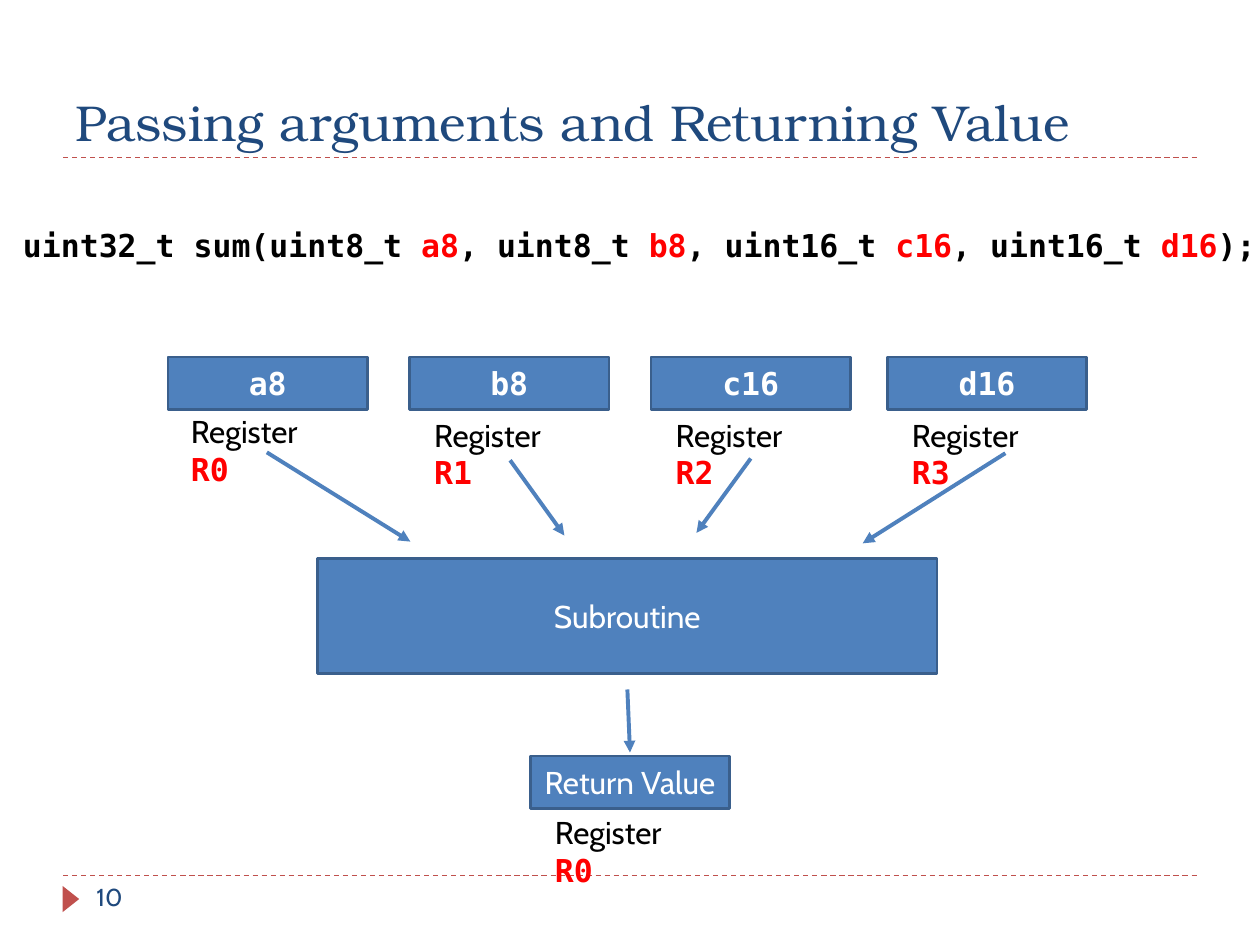
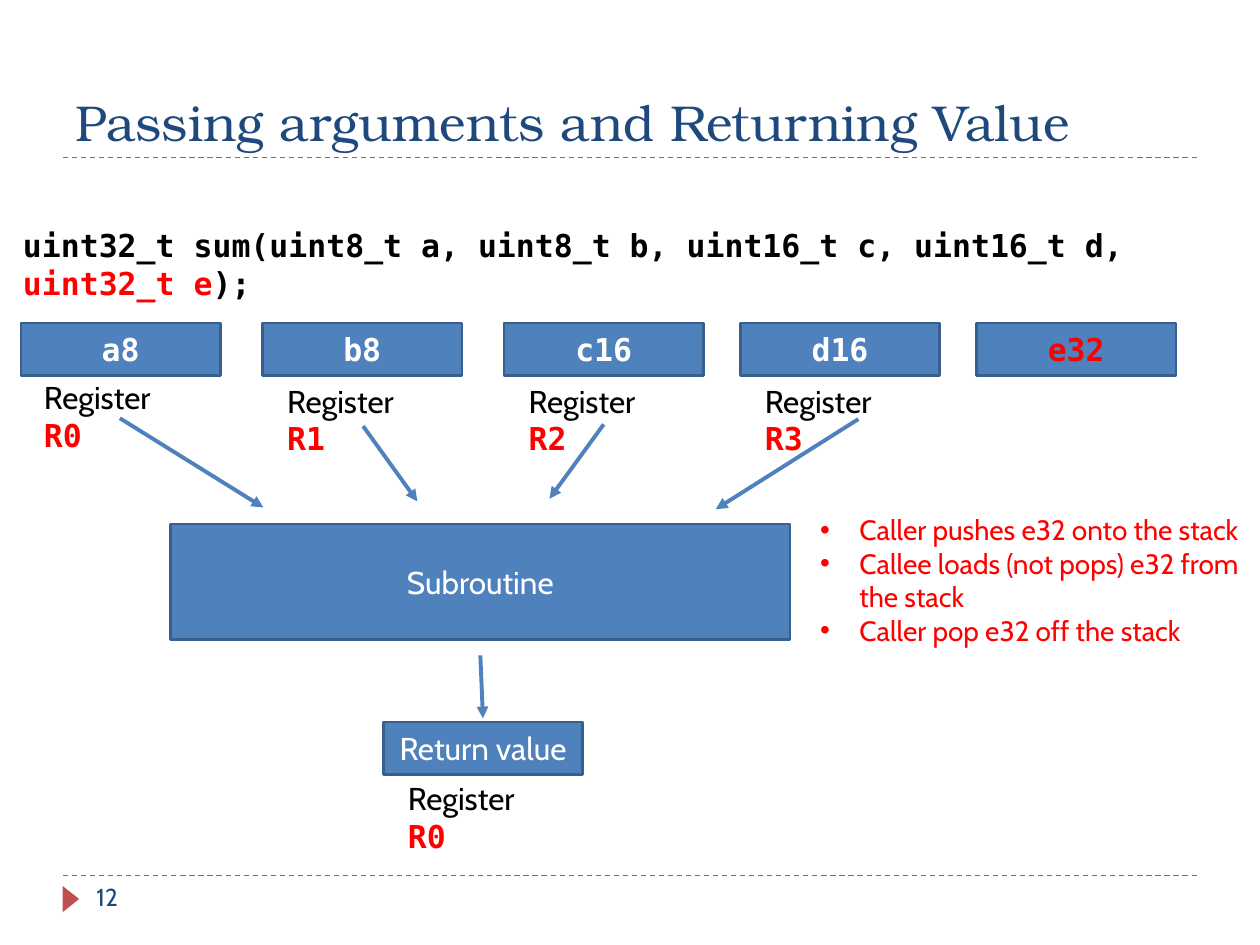
from dataclasses import dataclass

from lxml.etree import SubElement
from pptx import Presentation
from pptx.dml.color import RGBColor
from pptx.enum.dml import MSO_LINE
from pptx.enum.shapes import MSO_CONNECTOR, MSO_SHAPE
from pptx.enum.text import MSO_ANCHOR, MSO_AUTO_SIZE, PP_ALIGN
from pptx.oxml.ns import qn
from pptx.util import Pt


@dataclass(frozen=True)
class Theme:
    heading: RGBColor = RGBColor(0x1F, 0x49, 0x7D)
    rule: RGBColor = RGBColor(0xC0, 0x50, 0x4D)
    block: RGBColor = RGBColor(0x4F, 0x81, 0xBD)
    outline: RGBColor = RGBColor(0x3A, 0x5F, 0x8C)
    light: RGBColor = RGBColor(0xFF, 0xFF, 0xFF)
    dark: RGBColor = RGBColor(0, 0, 0)
    accent: RGBColor = RGBColor(0xFF, 0, 0)
    title_font: str = "TeX Gyre Bonum"
    body_font: str = "Cabin"
    code_font: str = "DejaVu Sans Mono"
    title_size: float = 28.8
    body_size: float = 18
    note_size: float = 16
    number_size: float = 14


THEME = Theme()
CODE = dict(font=THEME.code_font, bold=True)
RED = dict(color=THEME.accent)
RED_CODE = CODE | RED

ARGUMENTS = ["a8", "b8", "c16", "d16"]
ARGUMENT_LEFTS = [96, 234, 372, 507]
REGISTER_OFFSETS = [(6, 28), (7, 30), (7, 30), (7, 30)]
ARGUMENT_ARROWS = [
    (152.5, 258.5, 234.5, 309.5),
    (291.5, 263, 322.5, 306),
    (429, 262, 398, 304.5),
    (574.5, 259, 493, 310.5),
]
ARGUMENT_TOP = 204
BLOCK_SIZE = (114, 30)
SPILL_SHIFT = (-84, -19.5)


def write(frame, paragraphs, font=THEME.body_font, size=THEME.body_size,
          color=THEME.dark, bold=False, align=PP_ALIGN.LEFT,
          anchor=MSO_ANCHOR.TOP, bullet=None):
    frame.word_wrap = True
    frame.auto_size = MSO_AUTO_SIZE.NONE
    frame.vertical_anchor = anchor
    for index, runs in enumerate(paragraphs):
        paragraph = frame.add_paragraph() if index else frame.paragraphs[0]
        paragraph.alignment = align
        if bullet:
            properties = paragraph._p.get_or_add_pPr()
            properties.set("marL", str(Pt(22.5)))
            properties.set("indent", str(-Pt(22.5)))
            SubElement(properties, qn("a:buFont"), typeface="Arial")
            SubElement(properties, qn("a:buChar"), char=bullet)
        for text, changes in runs:
            style = dict(font=font, color=color, bold=bold) | changes
            run = paragraph.add_run()
            run.text = text
            run.font.name = style["font"]
            run.font.size = Pt(size)
            run.font.bold = style["bold"]
            run.font.color.rgb = style["color"]


class Deck:
    def __init__(self, theme):
        self.theme = theme
        self.presentation = Presentation()
        self.presentation.slide_width = Pt(720)
        self.presentation.slide_height = Pt(540)
        self.slide = None

    def start_slide(self, title, number):
        theme = self.theme
        layout = self.presentation.slide_layouts.get_by_name("Title Only")
        self.slide = self.presentation.slides.add_slide(layout)
        for height in (500.4, 90):
            self.line(36, height, 684, height, theme.rule, 0.75, dashed=True)
        self.shape(MSO_SHAPE.ISOSCELES_TRIANGLE, 33, 509, 15, 9.5,
                   theme.rule).rotation = 90
        heading = self.slide.shapes.title
        heading.left, heading.top = Pt(36), Pt(12)
        heading.width, heading.height = Pt(648), Pt(78)
        write(heading.text_frame, [[(title, {})]], font=theme.title_font,
              size=theme.title_size, color=theme.heading,
              anchor=MSO_ANCHOR.BOTTOM)
        self.text(48, 500.4, 156, 29, [[(number, {})]],
                  size=theme.number_size, color=theme.heading)

    def shape(self, preset, left, top, width, height, fill, outline=None):
        shape = self.slide.shapes.add_shape(
            preset, Pt(left), Pt(top), Pt(width), Pt(height))
        shape.shadow.inherit = False
        shape.fill.solid()
        shape.fill.fore_color.rgb = fill
        if outline is None:
            shape.line.fill.background()
        else:
            shape.line.color.rgb = outline
            shape.line.width = Pt(1.5)
        return shape

    def block(self, left, top, width, height, label, **style):
        block = self.shape(MSO_SHAPE.RECTANGLE, left, top, width, height,
                           self.theme.block, self.theme.outline)
        write(block.text_frame, [[(label, {})]],
              **(dict(color=self.theme.light, align=PP_ALIGN.CENTER,
                      anchor=MSO_ANCHOR.MIDDLE) | style))

    def text(self, left, top, width, height, paragraphs, **style):
        box = self.slide.shapes.add_textbox(
            Pt(left), Pt(top), Pt(width), Pt(height))
        write(box.text_frame, paragraphs, **style)

    def line(self, x1, y1, x2, y2, color, width, dashed=False, arrow=False):
        line = self.slide.shapes.add_connector(
            MSO_CONNECTOR.STRAIGHT, Pt(x1), Pt(y1), Pt(x2), Pt(y2))
        line.line.color.rgb = color
        line.line.width = Pt(width)
        if dashed:
            line.line.dash_style = MSO_LINE.DASH
        if arrow:
            SubElement(line.line._get_or_add_ln(), qn("a:tailEnd"),
                       type="triangle")
        SubElement(line._element.spPr, qn("a:effectLst"))

    def arrow(self, x1, y1, x2, y2):
        self.line(x1, y1, x2, y2, self.theme.block, 2.25, arrow=True)

    def register(self, left, top, name):
        self.text(left, top, 96, 50, [[("Register ", {}), (name, RED_CODE)]])

    def signature(self, runs):
        self.text(6, 125.5, 721.5, 29, [runs], **CODE)

    def call_diagram(self, return_label, shift=(0, 0)):
        dx, dy = shift
        top = ARGUMENT_TOP + dy
        columns = zip(ARGUMENTS, ARGUMENT_LEFTS, REGISTER_OFFSETS)
        for index, (name, left, (right, down)) in enumerate(columns):
            self.block(left + dx, top, *BLOCK_SIZE, name, **CODE)
            self.register(left + dx + right, top + down, f"R{index}")
        self.block(181.5 + dx, 319 + dy, 354, 66, "Subroutine")
        self.block(303 + dx, 432 + dy, *BLOCK_SIZE, return_label)
        self.register(310 + dx, 461 + dy, "R0")
        for x1, y1, x2, y2 in ARGUMENT_ARROWS + [(358.5, 394, 360, 430)]:
            self.arrow(x1 + dx, y1 + dy, x2 + dx, y2 + dy)


def register_arguments(deck):
    deck.start_slide("Passing arguments and Returning Value", "10")
    deck.call_diagram("Return Value")
    deck.signature([
        ("uint32_t sum(uint8_t ", {}), ("a8", RED),
        (", uint8_t ", {}), ("b8", RED),
        (", uint16_t ", {}), ("c16", RED),
        (", uint16_t ", {}), ("d16", RED), (");", {}),
    ])


def stack_argument(deck):
    deck.start_slide("Passing arguments and Returning Value", "12")
    deck.call_diagram("Return value", SPILL_SHIFT)
    deck.signature([
        ("uint32_t sum(uint8_t a, uint8_t b, uint16_t c, uint16_t d, ", {}),
        ("uint32_t e", RED), (");", {}),
    ])
    steps = ["Caller pushes e32 onto the stack",
             "Callee loads (not pops) e32 from the stack",
             "Caller pop e32 off the stack"]
    deck.text(461.5, 289.5, 258.5, 87, [[(step, {})] for step in steps],
              size=deck.theme.note_size, bullet="•", **RED)
    deck.block(558, ARGUMENT_TOP + SPILL_SHIFT[1], *BLOCK_SIZE, "e32",
               **RED_CODE)


def main():
    deck = Deck(THEME)
    register_arguments(deck)
    stack_argument(deck)
    deck.presentation.save("out.pptx")


if __name__ == "__main__":
    main()
